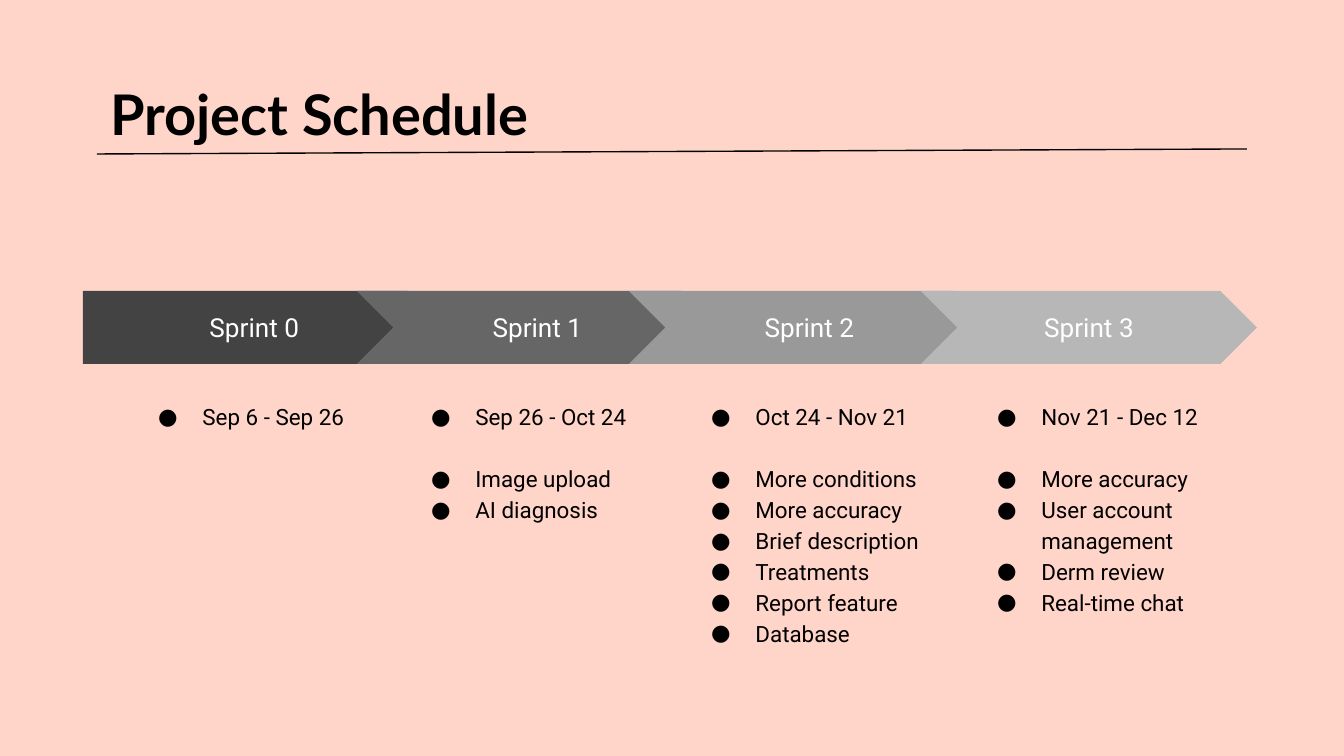
from lxml import etree
from pptx import Presentation
from pptx import util as u
from pptx.dml.color import RGBColor
from pptx.enum import shapes, text
from pptx.oxml.ns import qn

PX = 914400 / 134.4
COLORS = {
    "background": "FFD5CA",
    "ink": "000000",
    "label": "FFFFFF",
    "sprint 0": "434343",
    "sprint 1": "666666",
    "sprint 2": "999999",
    "sprint 3": "B7B7B7",
}
SPRINTS = [
    ("Sprint 0", (83, 361), (122, 266), ["Sep 6 - Sep 26"]),
    ("Sprint 1", (357, 361), (395, 267),
     ["Sep 26 - Oct 24", "Image upload", "AI diagnosis"]),
    ("Sprint 2", (629, 361), (675, 286),
     ["Oct 24 - Nov 21", "More conditions", "More accuracy", "Brief description",
      "Treatments", "Report feature", "Database"]),
    ("Sprint 3", (921, 336), (961, 254),
     ["Nov 21 - Dec 12", "More accuracy", "User account management",
      "Derm review", "Real-time chat"]),
]


def px(*lengths):
    """Turn pixel lengths into EMU."""
    return [u.Emu(round(length * PX)) for length in lengths]


def color(name):
    """Look up a named colour."""
    return RGBColor.from_string(COLORS[name])


def prepare_frame(frame, anchor):
    """Set wrapping, insets and anchoring of a text frame."""
    frame.word_wrap = True
    frame.auto_size = text.MSO_AUTO_SIZE.NONE
    frame.vertical_anchor = anchor
    frame.margin_left = frame.margin_right = u.Inches(0.1)
    frame.margin_top = frame.margin_bottom = u.Inches(0.1)


def add_run(paragraph, words, face, size, ink, bold=False):
    """Add one formatted run."""
    run = paragraph.add_run()
    run.text = words
    run.font.name = face
    run.font.size = u.Pt(size)
    run.font.bold = bold
    run.font.color.rgb = color(ink)


def add_bullet(paragraph):
    """Give a paragraph a round bullet with a hanging indent."""
    properties = paragraph._p.get_or_add_pPr()
    properties.set("marL", str(u.Inches(0.5)))
    properties.set("indent", str(u.Inches(-0.33)))
    tint = etree.SubElement(properties, qn("a:buClr"))
    etree.SubElement(tint, qn("a:srgbClr"), val=COLORS["ink"])
    etree.SubElement(properties, qn("a:buFont"), typeface="Roboto")
    etree.SubElement(properties, qn("a:buChar"), char="●")


def set_title(slide, words):
    """Place and fill the title placeholder."""
    title = slide.shapes.title
    title.left, title.top, title.width, title.height = px(97, 66, 1133, 85)
    prepare_frame(title.text_frame, text.MSO_ANCHOR.TOP)
    heading = title.text_frame.paragraphs[0]
    heading.alignment = text.PP_ALIGN.LEFT
    add_run(heading, words, "Lato", 30, "ink", bold=True)


def add_arrow(parent, preset, left, width, label):
    """Draw one labelled arrow of the timeline."""
    arrow = parent.add_shape(preset, *px(left, 291, width, 73))
    arrow.shadow.inherit = False
    arrow.adjustments[0] = 0.5
    arrow.fill.solid()
    arrow.fill.fore_color.rgb = color(label.lower())
    arrow.line.fill.background()
    prepare_frame(arrow.text_frame, text.MSO_ANCHOR.MIDDLE)
    caption = arrow.text_frame.paragraphs[0]
    caption.alignment = text.PP_ALIGN.CENTER
    add_run(caption, label, "Roboto", 14, "label")


def add_details(parent, left, width, items):
    """List the dates of a sprint and, after a gap, its features."""
    frame = parent.add_textbox(*px(left, 386, width, 288)).text_frame
    prepare_frame(frame, text.MSO_ANCHOR.TOP)
    for index, item in enumerate(items):
        entry = frame.add_paragraph() if index else frame.paragraphs[0]
        add_bullet(entry)
        entry.line_spacing = 1.15
        if index == 1:
            entry.space_before = u.Pt(16.5)
        add_run(entry, item, "Roboto", 12, "ink")


def add_rule(slide):
    """Draw the line under the title."""
    rule = slide.shapes.add_connector(
        shapes.MSO_CONNECTOR.STRAIGHT, *px(97, 154, 1247, 149))
    rule.line.color.rgb = color("ink")
    rule.line.width = u.Pt(0.75)
    etree.SubElement(rule._element.spPr, qn("a:effectLst"))


def main():
    """Build and save the project schedule."""
    deck = Presentation()
    deck.slide_width, deck.slide_height = px(1344, 756)
    slide = deck.slides.add_slide(deck.slide_layouts[5])
    slide.background.fill.solid()
    slide.background.fill.fore_color.rgb = color("background")
    set_title(slide, "Project Schedule")
    preset = shapes.MSO_SHAPE.PENTAGON
    for label, arrow_span, details_span, items in SPRINTS:
        sprint = slide.shapes.add_group_shape().shapes
        add_arrow(sprint, preset, *arrow_span, label)
        add_details(sprint, *details_span, items)
        preset = shapes.MSO_SHAPE.CHEVRON
    add_rule(slide)
    deck.save("out.pptx")


if __name__ == "__main__":
    main()
